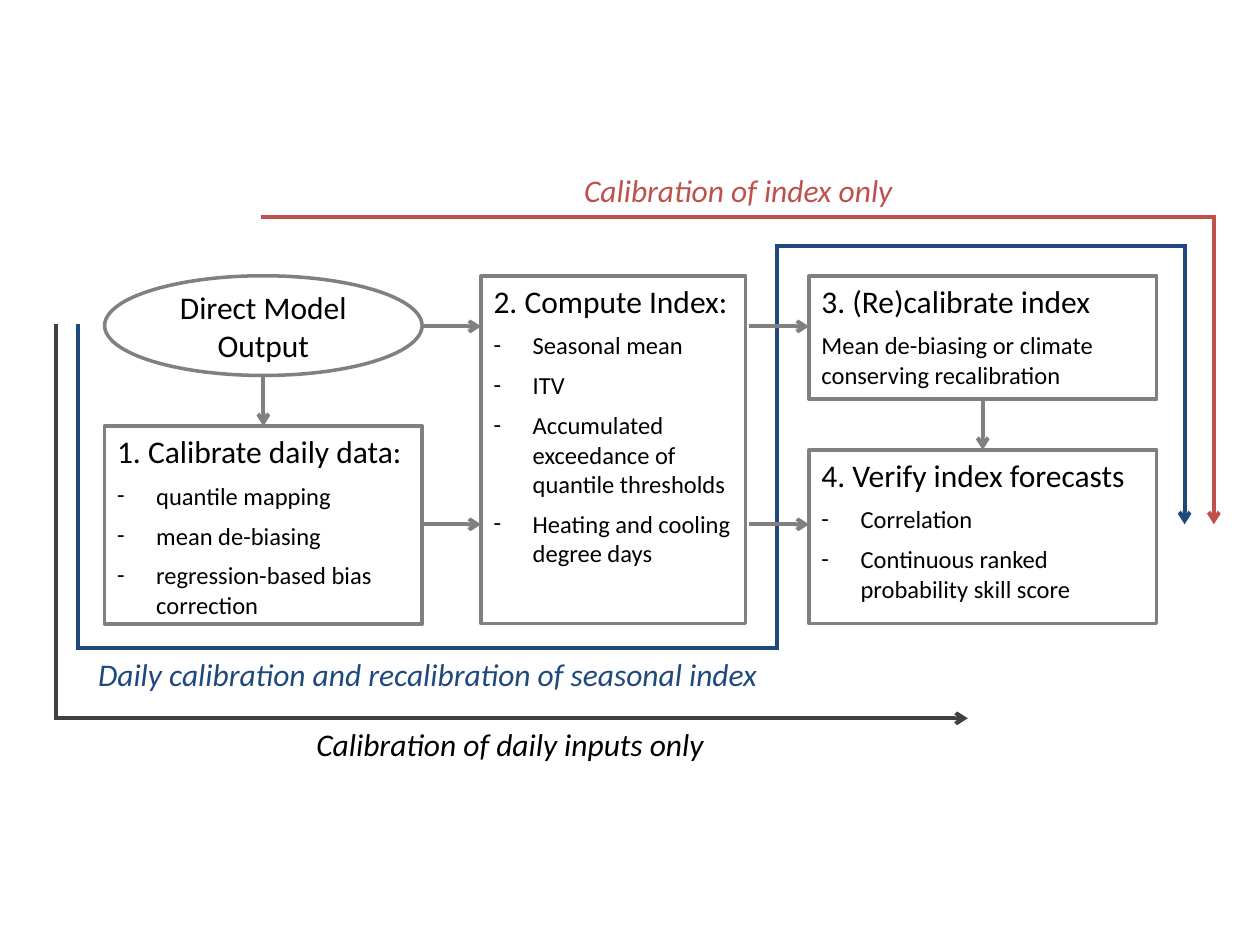
"""Build a one-slide flow diagram of calibration strategies for index forecasts."""
from itertools import pairwise

from lxml.etree import SubElement
from pptx import Presentation
from pptx.dml.color import RGBColor
from pptx.enum.shapes import MSO_CONNECTOR, MSO_SHAPE
from pptx.enum.text import MSO_ANCHOR, PP_ALIGN
from pptx.oxml.ns import qn
from pptx.util import Cm, Pt

BLACK = RGBColor(0x00, 0x00, 0x00)
CHARCOAL = RGBColor(0x40, 0x40, 0x40)
GREY = RGBColor(0x80, 0x80, 0x80)
BLUE = RGBColor(0x1F, 0x49, 0x7D)
RED = RGBColor(0xC0, 0x50, 0x4D)

HEADING = {"name": "Calibri", "size": Pt(18), "italic": False}
DETAIL = {"name": "Calibri", "size": Pt(14), "italic": False}
CAPTION = {"name": "Calibri", "size": Pt(18), "italic": True}

deck = Presentation()
deck.slide_width, deck.slide_height = Cm(25.4), Cm(19.05)
page = deck.slides.add_slide(deck.slide_layouts[6])


def add_route(points, color):
    """Join the points with straight lines and end in an arrowhead."""
    for start, end in pairwise(points):
        line = page.shapes.add_connector(
            MSO_CONNECTOR.STRAIGHT, *[Cm(value) for value in start + end])
        line.line.color.rgb = color
        line.line.width = Pt(2.25)
        outline = line.line._get_or_add_ln()
        if end == points[-1]:
            SubElement(outline, qn("a:tailEnd"), type="arrow")
        else:
            outline.set("cap", "sq")
        SubElement(line._element.spPr, qn("a:effectLst"))


def write(para, text, style, color):
    """Add one formatted span to the paragraph."""
    span = para.add_run()
    span.text = text
    for key, value in style.items():
        setattr(span.font, key, value)
    span.font.color.rgb = color


upper_row, lower_row = 6.58, 10.57

routes = [
    ([(1.57, upper_row), (1.57, 13.06), (15.67, 13.06), (15.67, 4.95),
      (23.88, 4.95), (23.88, lower_row)], BLUE),
    ([(1.12, upper_row), (1.12, 14.48), (19.51, 14.48)], CHARCOAL),
    ([(5.31, 4.37), (24.47, 4.37), (24.47, lower_row)], RED),
]
for points, color in routes:
    add_route(points, color)

captions = [
    ("Daily calibration and recalibration of seasonal index", 1.55, 13.08, 14.15, BLUE),
    ("Calibration of daily inputs only", 1.09, 14.5, 18.39, BLACK),
    ("Calibration of index only", 5.31, 3.33, 19.15, RED),
]
for text, left, top, width, color in captions:
    box = page.shapes.add_textbox(Cm(left), Cm(top), Cm(width), Cm(1.02))
    box.text_frame.word_wrap = True
    para = box.text_frame.paragraphs[0]
    para.alignment = PP_ALIGN.CENTER
    write(para, text, CAPTION, color)

steps = [
    (MSO_SHAPE.OVAL, (2.11, 5.56, 6.4, 2.01), "Direct Model Output", [], False),
    (MSO_SHAPE.RECTANGLE, (2.11, 8.59, 6.4, 3.99), "1. Calibrate daily data:",
     ["quantile mapping", "mean de-biasing", "regression-based bias correction"], True),
    (MSO_SHAPE.RECTANGLE, (9.7, 5.56, 5.33, 7.01), "2. Compute Index:",
     ["Seasonal mean", "ITV", "Accumulated exceedance of quantile thresholds",
      "Heating and cooling degree days"], True),
    (MSO_SHAPE.RECTANGLE, (16.31, 5.56, 7.01, 2.49), "3. (Re)calibrate index",
     ["Mean de-biasing or climate conserving recalibration"], False),
    (MSO_SHAPE.RECTANGLE, (16.31, 9.07, 7.01, 3.5), "4. Verify index forecasts",
     ["Correlation", "Continuous ranked probability skill score"], True),
]
for kind, place, heading, details, bulleted in steps:
    box = page.shapes.add_shape(kind, *[Cm(value) for value in place])
    box.shadow.inherit = False
    box.fill.background()
    box.line.color.rgb = GREY
    box.line.width = Pt(2)
    frame = box.text_frame
    frame.word_wrap = True
    frame.vertical_anchor = MSO_ANCHOR.TOP if details else MSO_ANCHOR.MIDDLE
    para = frame.paragraphs[0]
    para.alignment = PP_ALIGN.LEFT if details else PP_ALIGN.CENTER
    para.space_after = Pt(6 if details else 0)
    write(para, heading, HEADING, BLACK)
    for detail in details:
        para = frame.add_paragraph()
        para.alignment = PP_ALIGN.LEFT
        para.space_after = Pt(6)
        write(para, detail, DETAIL, BLACK)
        if bulleted:
            properties = para._p.get_or_add_pPr()
            properties.set("marL", str(Cm(0.79)))
            properties.set("indent", str(-Cm(0.79)))
            SubElement(properties, qn("a:buFont"), typeface="Calibri")
            SubElement(properties, qn("a:buChar"), char="-")

for row in (upper_row, lower_row):
    for start, end in ((8.51, 9.7), (15.09, 16.31)):
        add_route([(start, row), (end, row)], GREY)
for column, start, end in ((5.31, 7.57, 8.59), (19.81, 8.08, 9.07)):
    add_route([(column, start), (column, end)], GREY)

deck.save("out.pptx")
